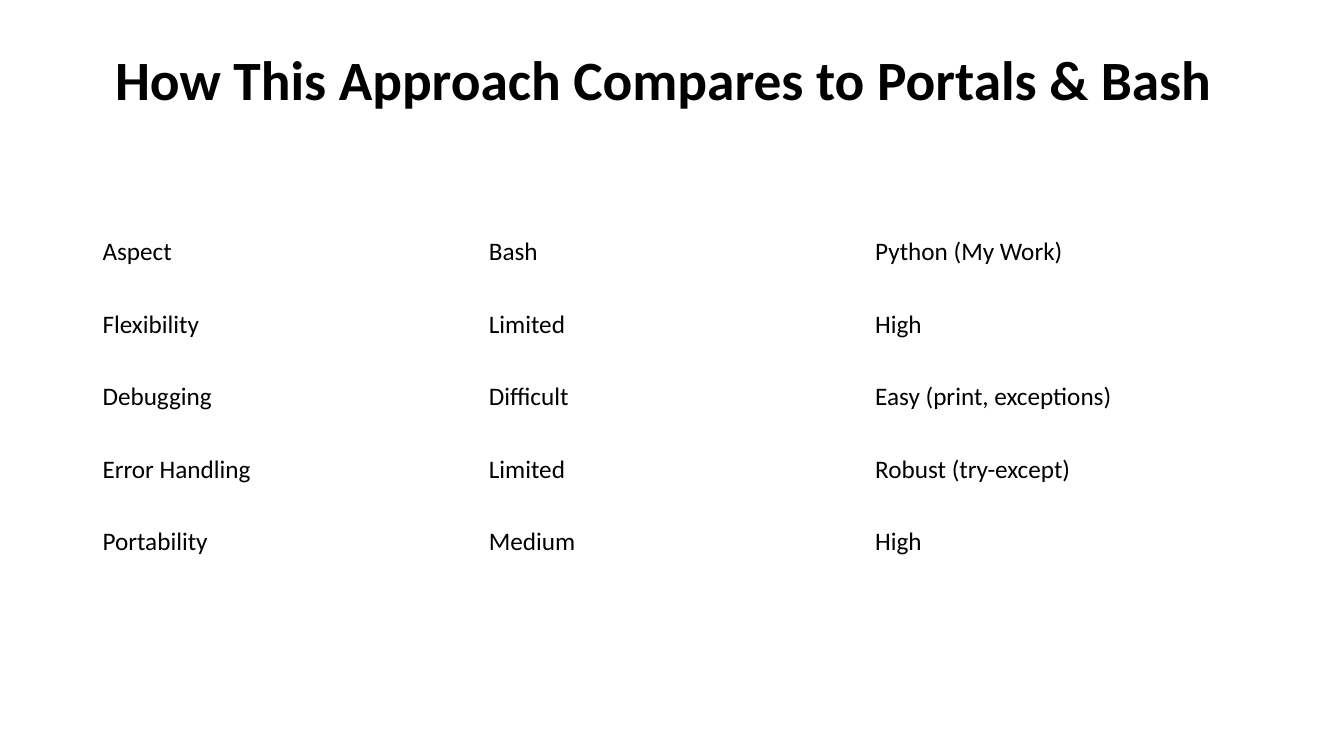
from dataclasses import astuple, dataclass

from pptx import Presentation
from pptx.dml.color import RGBColor
from pptx.enum import text
from pptx.shapes.autoshape import Shape
from pptx.slide import Slide
from pptx.text.text import _Paragraph as Paragraph
from pptx.util import Cm, Pt


@dataclass(frozen=True)
class Theme:
    font: str = "Calibri"
    ink: RGBColor = RGBColor(0, 0, 0)
    title_size: float = 39.6
    table_size: float = 18


@dataclass(frozen=True)
class Comparison:
    aspect: str
    bash: str
    python: str


THEME = Theme()
LEFT, WIDTH = Cm(2.33), Cm(29.21)
TABLE_TOP, ROW_HEIGHT = Cm(5.43), Cm(1.83)

HEADING = "How This Approach Compares to Portals & Bash"
COMPARISONS = [
    Comparison("Aspect", "Bash", "Python (My Work)"),
    Comparison("Flexibility", "Limited", "High"),
    Comparison("Debugging", "Difficult", "Easy (print, exceptions)"),
    Comparison("Error Handling", "Limited", "Robust (try-except)"),
    Comparison("Portability", "Medium", "High"),
]


def apply_format(target: object, values: dict[str, object]) -> None:
    for attribute, value in values.items():
        setattr(target, attribute, value)


def format_font(paragraph: Paragraph, size: float, bold: bool) -> None:
    apply_format(paragraph.font, {"name": THEME.font, "size": Pt(size), "bold": bold})
    paragraph.font.color.rgb = THEME.ink


def write_heading(heading: Shape) -> None:
    apply_format(heading, {"left": LEFT, "top": Cm(1.01),
                           "width": WIDTH, "height": Cm(3.68)})
    frame = heading.text_frame
    frame.text = HEADING
    apply_format(frame, {
        "word_wrap": True,
        "auto_size": text.MSO_AUTO_SIZE.NONE,
        "vertical_anchor": text.MSO_ANCHOR.TOP,
        "margin_left": Cm(0.57),
        "margin_top": Cm(0.32),
    })
    line = frame.paragraphs[0]
    apply_format(line, {"alignment": text.PP_ALIGN.LEFT, "line_spacing": 0.9})
    format_font(line, THEME.title_size, bold=True)


def add_comparison_table(slide: Slide, comparisons: list[Comparison]) -> None:
    rows = [astuple(comparison) for comparison in comparisons]
    table = slide.shapes.add_table(
        len(rows), len(rows[0]), LEFT, TABLE_TOP, WIDTH, ROW_HEIGHT * len(rows)
    ).table
    apply_format(table, {"first_row": False, "horz_banding": False})
    for row, entries in enumerate(rows):
        for column, entry in enumerate(entries):
            cell = table.cell(row, column)
            cell.text = entry
            cell.vertical_anchor = text.MSO_ANCHOR.MIDDLE
            cell.fill.background()
            format_font(cell.text_frame.paragraphs[0], THEME.table_size, bold=False)


def main() -> None:
    deck = Presentation()
    apply_format(deck, {"slide_width": Cm(33.87), "slide_height": Cm(19.05)})
    slide = deck.slides.add_slide(deck.slide_layouts.get_by_name("Title Only"))
    write_heading(slide.shapes.title)
    add_comparison_table(slide, COMPARISONS)
    deck.save("out.pptx")


if __name__ == "__main__":
    main()
